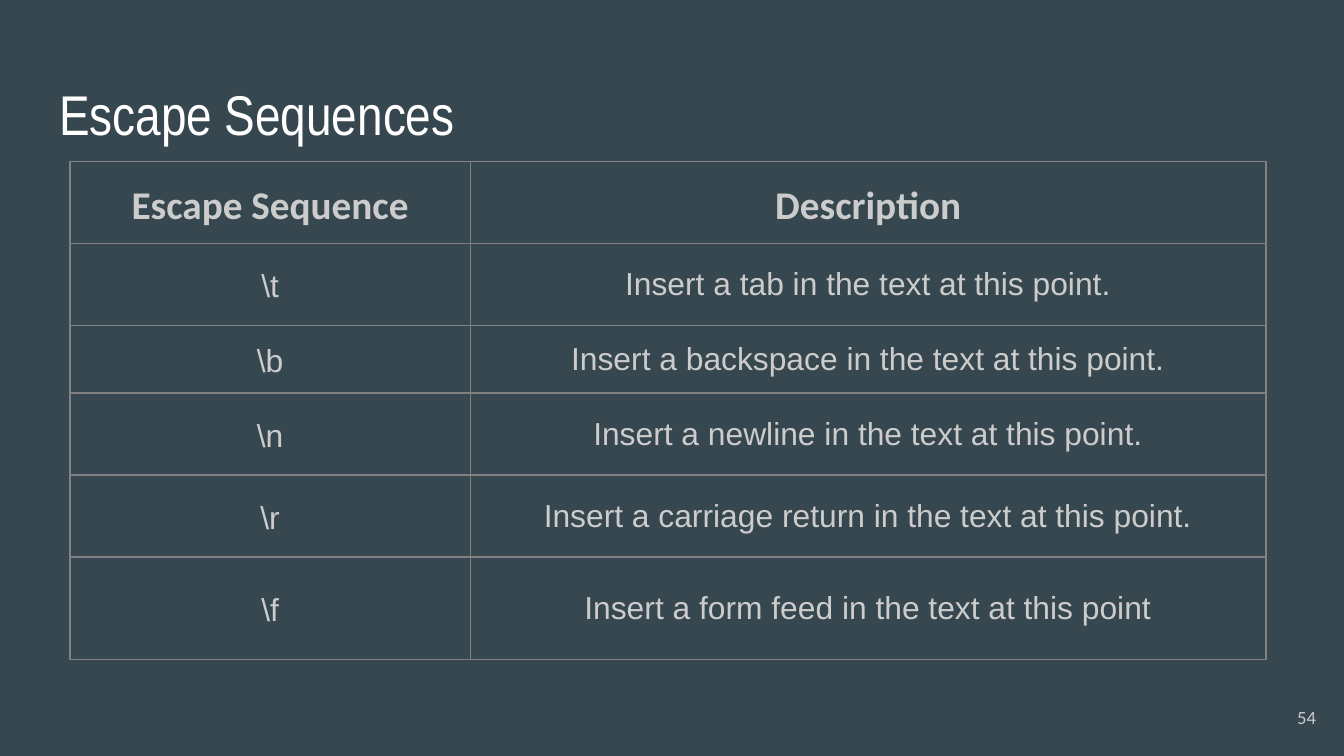
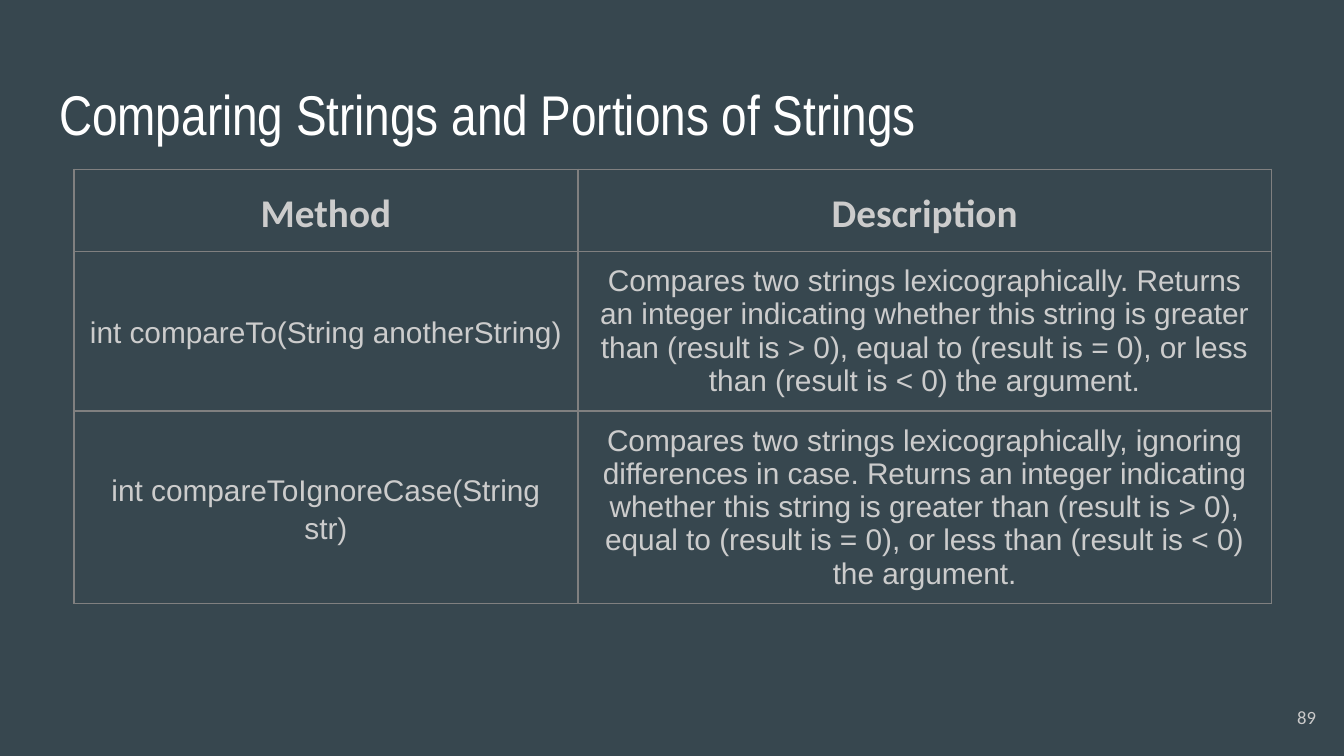
from lxml import etree
from pptx import Presentation
from pptx.dml.color import RGBColor
from pptx.enum import text as t
from pptx.oxml import ns
from pptx.util import Inches, Pt

SLATE = RGBColor(0x37, 0x47, 0x4F)
WHITE = RGBColor(0xFF, 0xFF, 0xFF)
SILVER = RGBColor(0xCC, 0xCC, 0xCC)
PALE = RGBColor(0xCA, 0xCA, 0xCA)
GRAY = RGBColor(0x80, 0x80, 0x80)

WIDTH = Inches(10)
TITLE = (0.34, 0.49, 9.32, 0.63)
NUMBER = (9.29, 5.12, 0.6, 0.43)
PAD = Inches(0.1)

ESCAPES = [
    ("Escape Sequence", "Description"),
    (r"\t", "Insert a tab in the text at this point."),
    (r"\b", "Insert a backspace in the text at this point."),
    (r"\n", "Insert a newline in the text at this point."),
    (r"\r", "Insert a carriage return in the text at this point."),
    (r"\f", "Insert a form feed in the text at this point"),
]
METHODS = [
    ("Method", "Description"),
    ("int compareTo(String anotherString)",
     "Compares two strings lexicographically. Returns an integer indicating "
     "whether this string is greater than (result is > 0), equal to "
     "(result is = 0), or less than (result is < 0) the argument."),
    ("int compareToIgnoreCase(String str)",
     "Compares two strings lexicographically, ignoring differences in case. "
     "Returns an integer indicating whether this string is greater than "
     "(result is > 0), equal to (result is = 0), or less than "
     "(result is < 0) the argument."),
]


def pad(area):
    area.margin_left = area.margin_right = PAD
    area.margin_top = area.margin_bottom = PAD


def style(par, name, size, color, align, bold=False):
    par.alignment = align
    font = par.font
    font.name, font.size, font.bold = name, Pt(size), bold
    font.color.rgb = color


def write(shape, words, anchor, *look):
    frame = shape.text_frame
    frame.text = words
    frame.word_wrap = True
    frame.auto_size = t.MSO_AUTO_SIZE.NONE
    frame.vertical_anchor = anchor
    pad(frame)
    style(frame.paragraphs[0], *look)


def add_title(slide, box, words):
    title = slide.shapes.title
    title.left, title.top, title.width, title.height = map(Inches, box)
    write(title, words, t.MSO_ANCHOR.TOP,
          "Arial Narrow", 30, WHITE, t.PP_ALIGN.LEFT)


def add_number(slide, box, number):
    label = slide.shapes.add_textbox(*map(Inches, box))
    write(label, str(number), t.MSO_ANCHOR.MIDDLE,
          "Calibri", 10, PALE, t.PP_ALIGN.RIGHT)


def add_borders(cell):
    props = cell._tc.get_or_add_tcPr()
    for spot, side in enumerate(("lnL", "lnR", "lnT", "lnB")):
        line = etree.Element(ns.qn(f"a:{side}"), w=str(Pt(0.75)))
        fill = etree.SubElement(line, ns.qn("a:solidFill"))
        etree.SubElement(fill, ns.qn("a:srgbClr"), val=str(GRAY))
        props.insert(spot, line)


def fill_cell(cell, words, head, first, size):
    cell.text = words
    cell.fill.background()
    cell.vertical_anchor = t.MSO_ANCHOR.MIDDLE
    pad(cell)
    par = cell.text_frame.paragraphs[0]
    name, points = ("Calibri", 21) if head else ("Arial", size)
    style(par, name, points, SILVER, t.PP_ALIGN.CENTER, head)
    par.line_spacing = 1.15 if head or first else 1.0
    add_borders(cell)


def add_grid(slide, spot, widths, heights, rows, size):
    box = (*spot, sum(widths), sum(heights))
    table = slide.shapes.add_table(
        len(rows), len(widths), *map(Inches, box)).table
    table.first_row = table.horz_banding = False
    for col, width in zip(table.columns, widths):
        col.width = Inches(width)
    for row, height in zip(table.rows, heights):
        row.height = Inches(height)
    for r, row in enumerate(rows):
        for c, words in enumerate(row):
            fill_cell(table.cell(r, c), words, r == 0, c == 0, size)


def add_page(deck, title, number, *grid):
    slide = deck.slides.add_slide(deck.slide_layouts[5])
    add_title(slide, TITLE, title)
    add_number(slide, NUMBER, number)
    add_grid(slide, *grid)


def main():
    deck = Presentation()
    deck.slide_width, deck.slide_height = WIDTH, WIDTH * 9 // 16
    fill = deck.slide_master.background.fill
    fill.solid()
    fill.fore_color.rgb = SLATE
    add_page(deck, "Escape Sequences", 54, (0.52, 1.2), (2.98, 5.92),
             (0.51, 0.61, 0.39, 0.61, 0.61, 0.76), ESCAPES, 17)
    add_page(deck, "Comparing Strings and Portions of Strings", 89,
             (0.55, 1.26), (3.75, 5.16), (0.51, 0.61, 0.61), METHODS, 16)
    deck.save("out.pptx")


if __name__ == "__main__":
    main()
